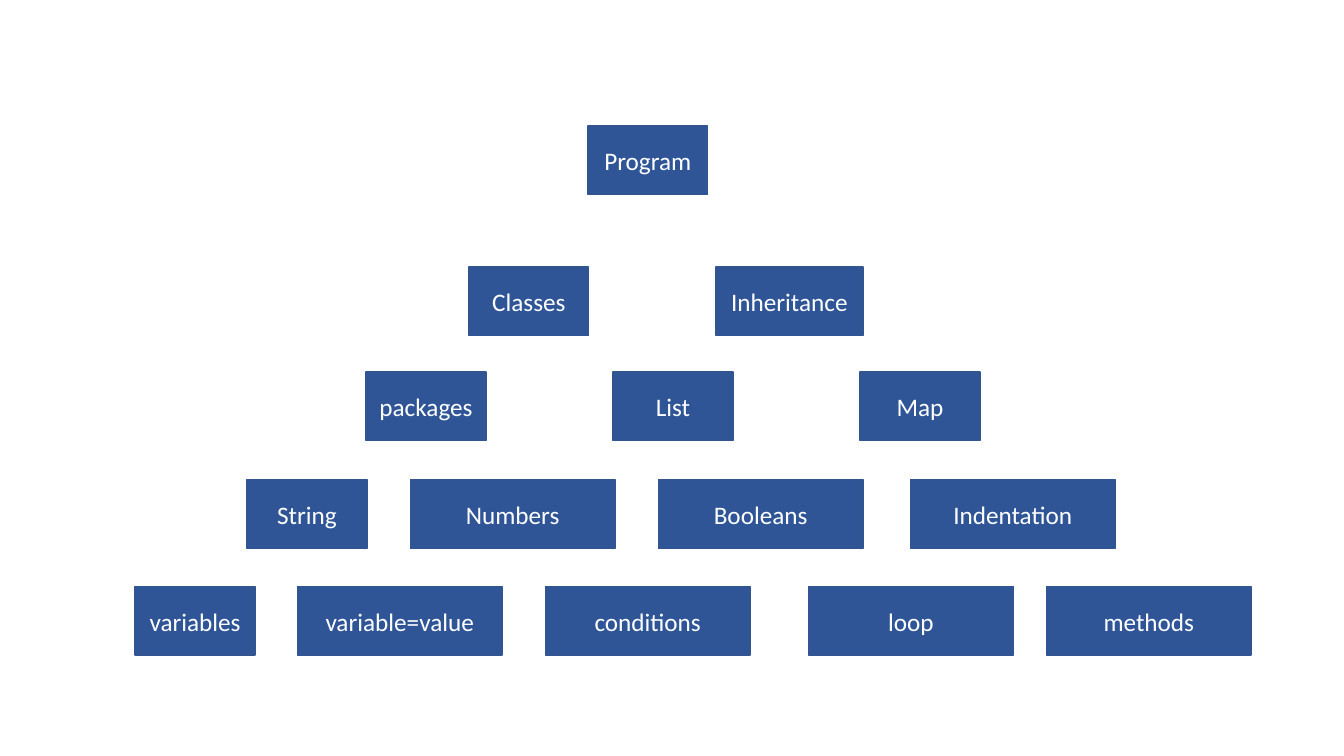
from pptx import Presentation
from pptx import util as u
from pptx.dml.color import RGBColor
from pptx.enum import shapes, text

# Content: rows from the base up, as (top, [(label, left, width)])
SLIM, MID, WIDE = 119, 146, 203
ROWS = [
    (582, [("variables", 134, SLIM), ("variable=value", 295, WIDE),
           ("conditions", 541, WIDE), ("loop", 802, WIDE),
           ("methods", 1038, WIDE)]),
    (476, [("String", 245, SLIM), ("Numbers", 407, WIDE),
           ("Booleans", 653, WIDE), ("Indentation", 903, WIDE)]),
    (369, [("packages", 363, SLIM), ("List", 608, SLIM), ("Map", 853, SLIM)]),
    (265, [("Classes", 465, SLIM), ("Inheritance", 710, MID)]),
    (125, [("Program", 583, SLIM)]),
]
HEIGHT = 68
COLORS = {"fill": "2F5597", "line": "325491", "text": "FFFFFF"}
FONT, SIZE = "Calibri", 18


def px(n):
    """Turn px (100 to the inch) into EMU."""
    return u.Emu(n * 9144)


def color(name):
    return RGBColor.from_string(COLORS[name])


def add_box(slide, label, left, top, width):
    box = slide.shapes.add_shape(shapes.MSO_SHAPE.RECTANGLE,
                                 px(left), px(top), px(width), px(HEIGHT))
    box.shadow.inherit = False
    box.fill.solid()
    box.fill.fore_color.rgb = color("fill")
    box.line.color.rgb = color("line")
    box.line.width = u.Pt(1)

    # Label
    frame = box.text_frame
    frame.text = label
    frame.word_wrap = True
    frame.vertical_anchor = text.MSO_ANCHOR.MIDDLE
    para = frame.paragraphs[0]
    para.alignment = text.PP_ALIGN.CENTER
    font = para.runs[0].font
    font.name, font.size = FONT, u.Pt(SIZE)
    font.color.rgb = color("text")


def main():
    deck = Presentation()
    deck.slide_width, deck.slide_height = px(1333), px(750)
    slide = deck.slides.add_slide(deck.slide_layouts[6])

    # Pyramid of boxes
    for top, row in ROWS:
        for label, left, width in row:
            add_box(slide, label, left, top, width)

    deck.save("out.pptx")


if __name__ == "__main__":
    main()
